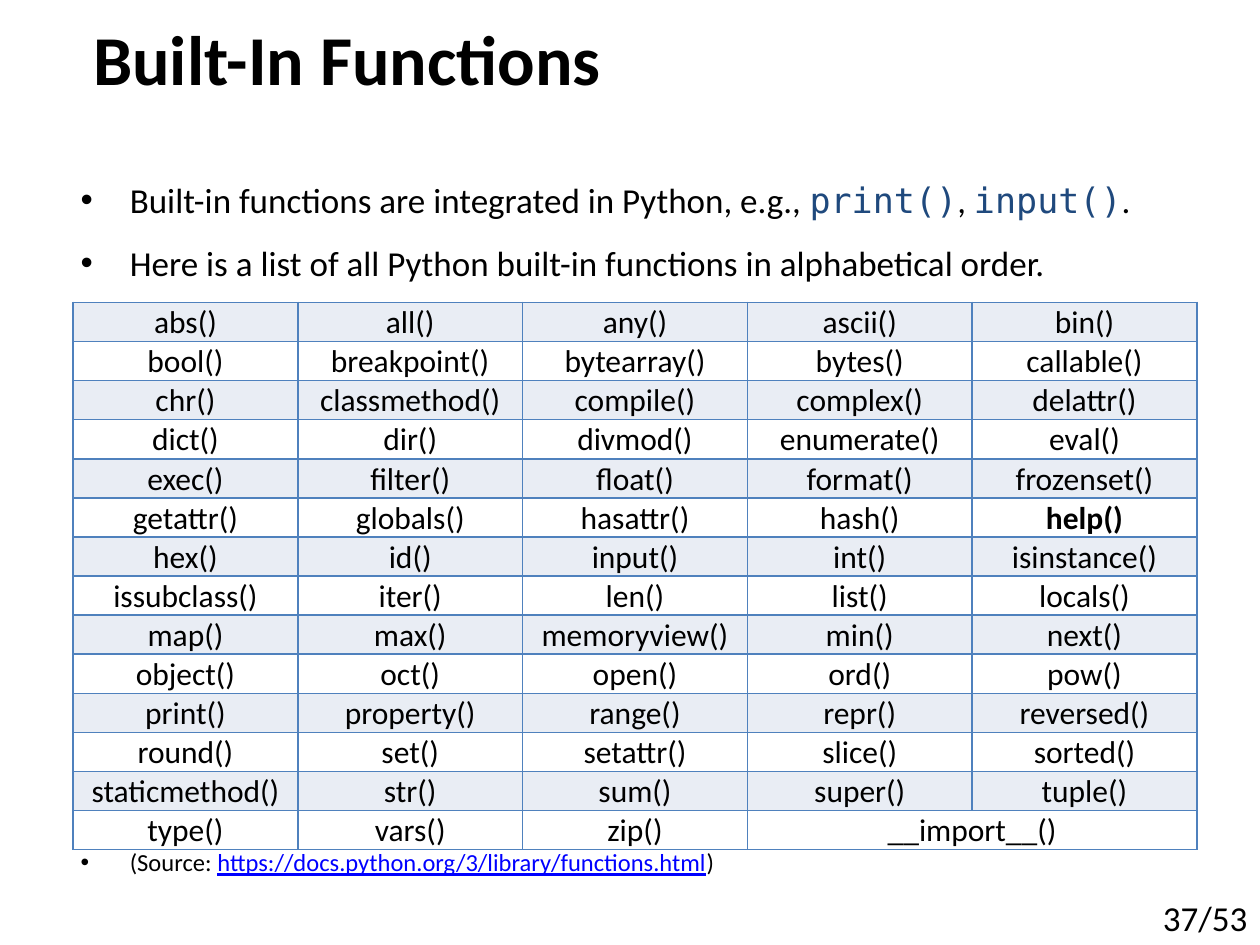
from lxml import etree
from pptx import Presentation
from pptx import util as u
from pptx.dml.color import RGBColor
from pptx.enum import text
from pptx.oxml.ns import qn

BLACK = RGBColor(0x00, 0x00, 0x00)
WHITE = RGBColor(0xFF, 0xFF, 0xFF)
CODE_BLUE = RGBColor(0x1F, 0x49, 0x7D)
LINK_BLUE = RGBColor(0x00, 0x00, 0xFF)
BAND = RGBColor(0xE9, 0xED, 0xF4)
GRID_BLUE = RGBColor(0x4F, 0x81, 0xBD)

FUNCTIONS = """
abs() all() any() ascii() bin()
bool() breakpoint() bytearray() bytes() callable()
chr() classmethod() compile() complex() delattr()
dict() dir() divmod() enumerate() eval()
exec() filter() float() format() frozenset()
getattr() globals() hasattr() hash() help()
hex() id() input() int() isinstance()
issubclass() iter() len() list() locals()
map() max() memoryview() min() next()
object() oct() open() ord() pow()
print() property() range() repr() reversed()
round() set() setattr() slice() sorted()
staticmethod() str() sum() super() tuple()
type() vars() zip() __import__()
"""


def add_text(paragraph, words, size=20, font="Calibri", color=BLACK, bold=False, underline=False):
    run = paragraph.add_run()
    run.text = words
    run.font.size = u.Pt(size)
    run.font.name = font
    run.font.color.rgb = color
    run.font.bold = bold
    run.font.underline = underline


def add_borders(cell, color, width):
    properties = cell._tc.get_or_add_tcPr()
    for side in ("a:lnL", "a:lnR", "a:lnT", "a:lnB"):
        line = etree.SubElement(properties, qn(side), w=str(u.Pt(width)))
        fill = etree.SubElement(line, qn("a:solidFill"))
        etree.SubElement(fill, qn("a:srgbClr"), val=str(color))


prs = Presentation()
prs.slide_width = u.Inches(10)
prs.slide_height = u.Inches(7.5)
slide = prs.slides.add_slide(prs.slide_layouts[1])

page_number = slide.shapes.add_textbox(u.Inches(8.63), u.Inches(6.96), u.Inches(1.37), u.Inches(0.54))
page_number.text_frame.word_wrap = False
page_number.text_frame.vertical_anchor = text.MSO_ANCHOR.BOTTOM
page_number.text_frame.paragraphs[0].alignment = text.PP_ALIGN.RIGHT
add_text(page_number.text_frame.paragraphs[0], "37/53")

title = slide.shapes.title
title.left, title.top, title.width, title.height = u.Inches(0.64), u.Inches(0), u.Inches(8.86), u.Inches(0.92)
title.text_frame.auto_size = text.MSO_AUTO_SIZE.NONE
title.text_frame.vertical_anchor = text.MSO_ANCHOR.MIDDLE
title.text_frame.paragraphs[0].alignment = text.PP_ALIGN.LEFT
add_text(title.text_frame.paragraphs[0], "Built-In Functions", size=40, bold=True)

points = slide.placeholders[1]
points.left, points.top, points.width, points.height = u.Inches(0.54), u.Inches(1.37), u.Inches(9.26), u.Inches(5.6)
points.text_frame.auto_size = text.MSO_AUTO_SIZE.NONE
intro = points.text_frame.paragraphs[0]
list_lead = points.text_frame.add_paragraph()
source = points.text_frame.add_paragraph()
for point, space_before in ((intro, 12), (list_lead, 12), (source, 322)):
    point.space_before = u.Pt(space_before)
    indents = point._p.get_or_add_pPr()
    indents.set("marL", str(u.Inches(0.39)))
    indents.set("indent", str(u.Inches(-0.39)))

code = {"font": "DejaVu Sans Mono", "color": CODE_BLUE}
add_text(intro, "Built-in functions are integrated in Python, e.g., ")
add_text(intro, "print()", **code)
add_text(intro, ", ")
add_text(intro, "input()", **code)
add_text(intro, ".")
add_text(list_lead, "Here is a list of all Python built-in functions in alphabetical order.")
add_text(source, "(Source: ", size=14)
add_text(source, "https://docs.python.org/3/library/functions.html", size=14, color=LINK_BLUE, underline=True)
add_text(source, ")", size=14)

function_rows = [line.split() for line in FUNCTIONS.strip().splitlines()]
row_count, column_count = len(function_rows), len(function_rows[0])
function_table = slide.shapes.add_table(
    row_count, column_count, u.Inches(0.58), u.Inches(2.4), u.Inches(8.92), u.Inches(0.31 * row_count)
).table
function_table.first_row = False
function_table.horz_banding = False

for row_index, names in enumerate(function_rows):
    for column_index in range(column_count):
        cell = function_table.cell(row_index, column_index)
        add_borders(cell, GRID_BLUE, 1)
        cell.fill.solid()
        cell.fill.fore_color.rgb = WHITE if row_index % 2 else BAND
        cell.margin_left = cell.margin_right = cell.margin_top = u.Inches(0.01)
        cell.margin_bottom = 0
        cell.vertical_anchor = text.MSO_ANCHOR.MIDDLE
        if column_index < len(names):
            name = names[column_index]
            entry = cell.text_frame.paragraphs[0]
            entry.alignment = text.PP_ALIGN.CENTER
            add_text(entry, name, size=18, bold=name == "help()")

last_row = row_count - 1
function_table.cell(last_row, 3).merge(function_table.cell(last_row, 4))

prs.save("out.pptx")
